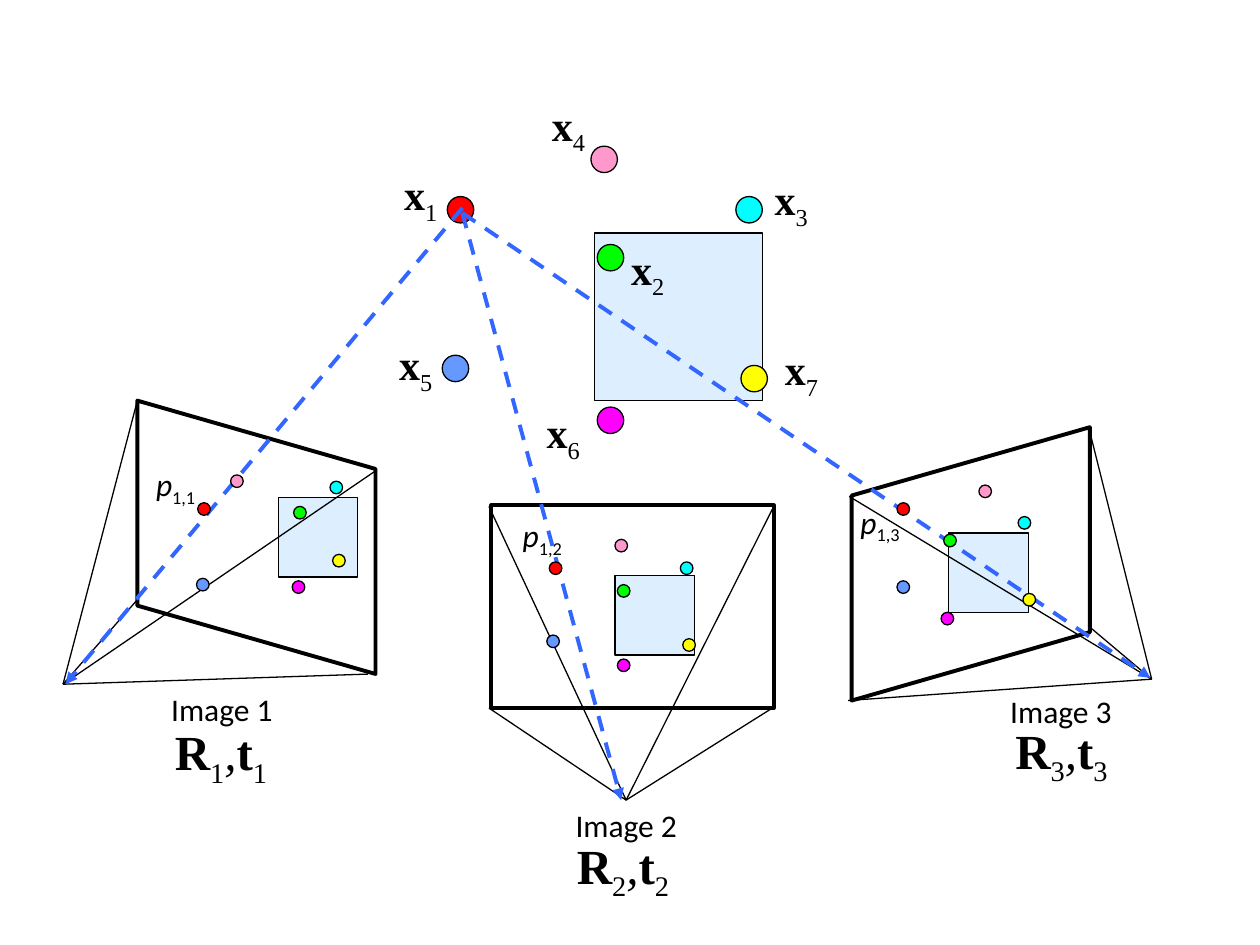
"""Build a slide of seven scene points seen by three cameras."""
from lxml import etree
from pptx import Presentation
from pptx.dml.color import RGBColor
from pptx.enum import dml, shapes, text
from pptx.oxml import ns
from pptx.util import Pt

BLACK = RGBColor(0, 0, 0)
PALE = RGBColor(0xDD, 0xEE, 0xFF)
RAY = RGBColor(0x33, 0x66, 0xFF)
RED = RGBColor(0xFF, 0x01, 0x01)
GREEN = RGBColor(0, 0xFF, 0)
BLUE = RGBColor(0x66, 0x99, 0xFF)
PURPLE = RGBColor(0xFF, 0, 0xFF)
YELLOW = RGBColor(0xFF, 0xFF, 0)
CYAN = RGBColor(0, 0xFF, 0xFF)
PINK = RGBColor(0xFF, 0x99, 0xCC)
HUES = [RED, GREEN, BLUE, PURPLE, YELLOW, CYAN, PINK]
KINDS = shapes.MSO_SHAPE

deck = Presentation()
deck.slide_width, deck.slide_height = Pt(720), Pt(540)
slide = deck.slides.add_slide(deck.slide_layouts[6])
items = slide.shapes


def draw(kind, x, y, w, h, fill=None, width=0.75):
    form = items.add_shape(kind, Pt(x), Pt(y), Pt(w), Pt(h))
    form.shadow.inherit = False
    if fill is None:
        form.fill.background()
    else:
        form.fill.solid()
        form.fill.fore_color.rgb = fill
    form.line.color.rgb = BLACK
    form.line.width = Pt(width)
    return form


def write(x, y, w, h, runs, face, size, wrap=True):
    box = items.add_textbox(Pt(x), Pt(y), Pt(w), Pt(h))
    frame = box.text_frame
    frame.word_wrap = wrap
    frame.auto_size = text.MSO_AUTO_SIZE.SHAPE_TO_FIT_TEXT
    for words, style in runs:
        run = frame.paragraphs[0].add_run()
        run.text = words
        font = run.font
        font.name, font.size = face, Pt(size)
        font.color.rgb = BLACK
        font.bold, font.italic = style == "bold", style == "italic"
        if style == "sub":
            run._r.get_or_add_rPr().set("baseline", "-25000")


scene = [(255.6, 112.3), (341.3, 139.7), (252.7, 203), (341.3, 232.6),
         (423.4, 208.8), (420.5, 112.3), (337.7, 83.5)]
names = [(223.9, 92.9), (353.5, 135.4), (435.6, 95.8), (308.2, 53.3),
         (221, 190.1), (305.3, 229), (441.4, 193)]
draw(KINDS.RECTANGLE, 339.8, 133.2, 95.8, 95.8, PALE)
for (x, y), hue in zip(scene, HUES):
    draw(KINDS.OVAL, x, y, 15.1, 15.1, hue)
for num, (x, y) in enumerate(names, 1):
    write(x, y, 42.5, 40.3, [("x", "bold"), (str(num), "sub")],
          "Times New Roman", 24)

views = [
    dict(kind=KINDS.PARALLELOGRAM, frame=(68.4, 239, 156.2, 136.1), turn=90,
         square=(159.1, 284.4), apex=(36, 391),
         ends=[(78.5, 229), (78.5, 342.7), (215.3, 268.6), (210.2, 385.2)],
         dots=[(113, 287.3), (167.8, 289.4), (112.3, 330.5), (167, 331.9),
               (190.1, 316.8), (188.6, 275), (131.8, 271.4)],
         point=(82.1, 262.1), title=(90.7, 391), pose=(92.9, 409),
         ray=(264.2, 118.8, 37.4, 391)),
    dict(kind=KINDS.RECTANGLE, frame=(280.8, 288.7, 161.3, 115.9), turn=0,
         square=(351.4, 329), apex=(357.8, 457.2),
         ends=[(279.4, 289.4), (441.4, 290.9), (279.4, 404.6), (441.4, 404.6)],
         dots=[(313.9, 321.1), (352.8, 334.1), (312.5, 362.9), (352.8, 376.6),
               (390.2, 365), (388.8, 321.1), (351.4, 308.2)],
         point=(291.6, 291.6), title=(321.8, 457.2), pose=(322.6, 473.8),
         ray=(264.2, 121.7, 355, 457.2)),
    dict(kind=KINDS.PARALLELOGRAM, frame=(476.6, 254.2, 156.2, 136.1), turn=270,
         square=(542.2, 304.6), apex=(658.1, 388.1),
         ends=[(485.3, 283.7), (484.6, 400.3), (622.1, 357.8), (622.1, 244.1)],
         dots=[(512.6, 287.3), (539.3, 305.3), (512.6, 331.9), (537.8, 349.9),
               (584.6, 339.1), (581.8, 295.2), (559.4, 277.2)],
         point=(484.6, 283.7), title=(570.2, 391.7), pose=(573.1, 408.2),
         ray=(264.2, 121.7, 657.4, 387.4)),
]
lines = []
for num, view in enumerate(views, 1):
    pane = draw(view["kind"], *view["frame"], width=2.25)
    pane.rotation = view["turn"]
    if view["turn"]:
        pane.adjustments[0] = 0.287
    if view["turn"] == 270:
        pane._element.spPr.xfrm.set("flipH", "1")
    draw(KINDS.RECTANGLE, *view["square"], 45.4, 45.4, PALE)
    lines += [(*end, *view["apex"], False) for end in view["ends"]]
    lines.append((*view["ray"], True))

for x, y, right, low, ray in sorted(lines, key=lambda line: line[-1]):
    line = items.add_connector(shapes.MSO_CONNECTOR.STRAIGHT,
                               Pt(x), Pt(y), Pt(right), Pt(low))
    line.line.color.rgb = RAY if ray else BLACK
    line.line.width = Pt(2.25 if ray else 0.75)
    if ray:
        line.line.dash_style = dml.MSO_LINE.DASH
        tip = etree.SubElement(line.line._get_or_add_ln(), ns.qn("a:tailEnd"))
        tip.set("type", "triangle")
    etree.SubElement(line._element.spPr, ns.qn("a:effectLst"))
    if ray:
        continue
    rays = items[-1]

for num, view in enumerate(views, 1):
    for (x, y), hue in zip(view["dots"], HUES):
        draw(KINDS.OVAL, x, y, 7.2, 7.2, hue)
    write(*view["point"], 36.7, 31.7, [("p", "italic"), (f"1,{num}", "sub")],
          "Calibri", 18, False)
    write(*view["title"], 72.7, 28.8, [(f"Image {num}", "")],
          "Calibri", 18, False)
    write(*view["pose"], 88, 45.4,
          [("R", "bold"), (str(num), "sub"), (",", "italic"),
           ("t", "bold"), (str(num), "sub")], "Times New Roman", 28)

deck.save("out.pptx")
